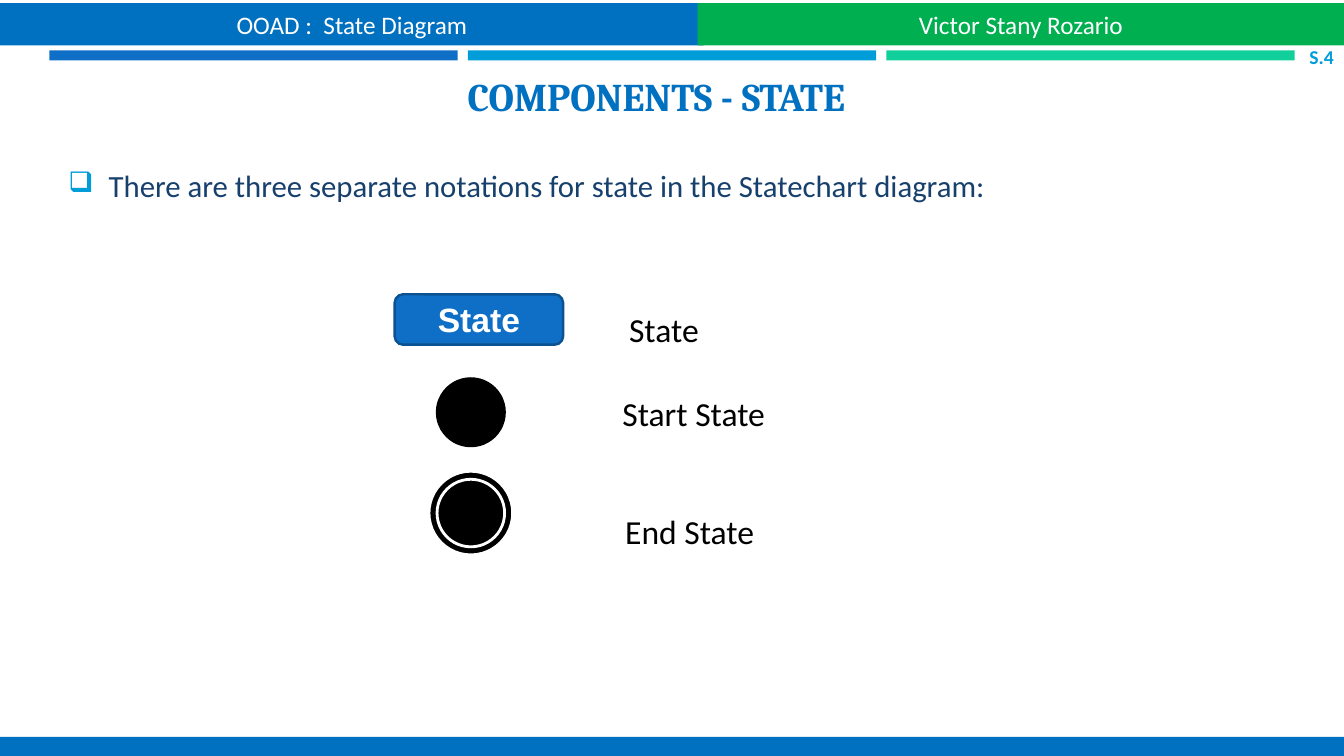
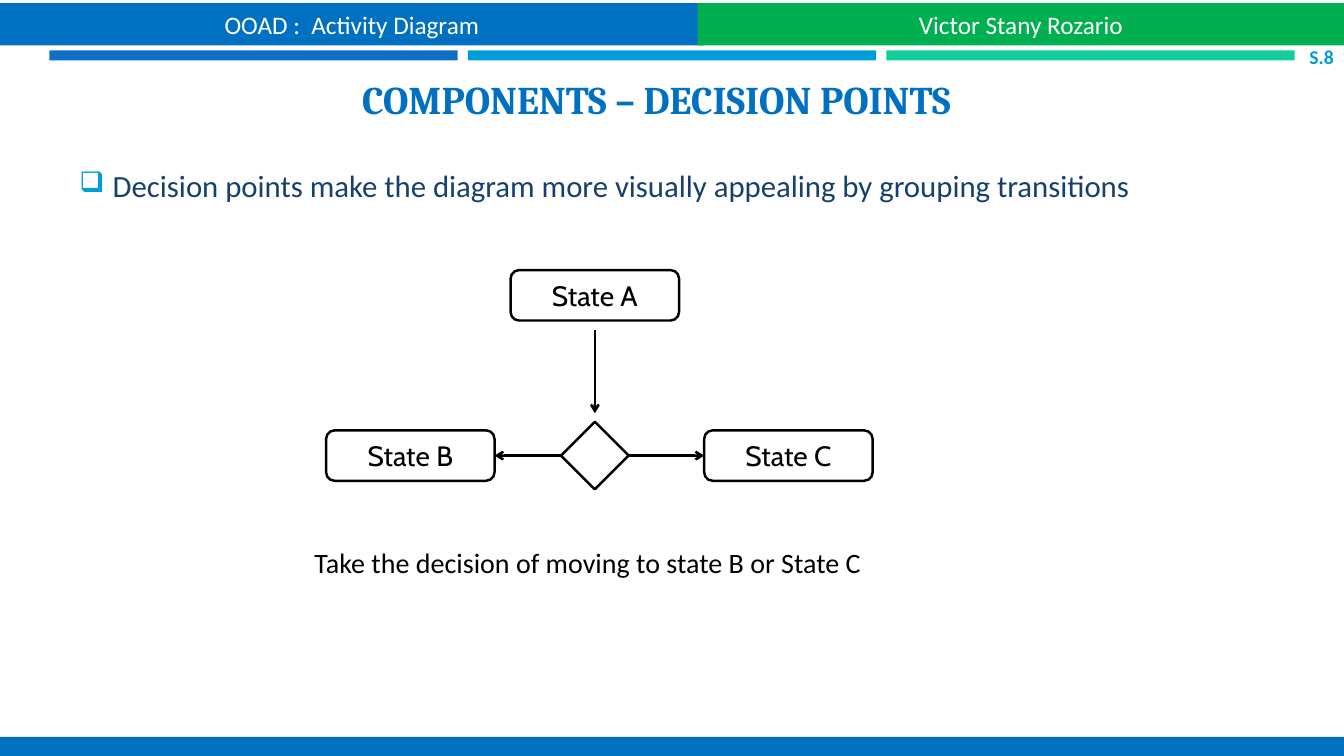
from dataclasses import dataclass

from lxml import etree
from pptx import Presentation
from pptx.dml.color import RGBColor
from pptx.enum import shapes, text
from pptx.oxml.ns import qn
from pptx.util import Inches, Pt

SHAPE = shapes.MSO_SHAPE
ALIGN = text.PP_ALIGN
ANCHOR = text.MSO_ANCHOR


@dataclass(frozen=True)
class Theme:
    blue: str = "0070C0"
    green: str = "00B050"
    royal: str = "0F6FC6"
    sky: str = "009DD9"
    mint: str = "10CF9B"
    navy: str = "17406D"
    edge: str = "0B5292"
    black: str = "000000"
    white: str = "FFFFFF"
    head: str = "Cambria"
    body: str = "Calibri"
    title: int = 28
    label: int = 24
    point: int = 22
    node: int = 20
    band: int = 18
    page: int = 14
    line: float = 1.75


T = Theme()


def rgb(code):
    return RGBColor.from_string(code)


def write(shape, words, size, color, font=T.body, bold=False,
          align=ALIGN.CENTER, anchor=ANCHOR.MIDDLE, wrap=True):
    frame = shape.text_frame
    frame.text = words
    frame.word_wrap = wrap
    frame.vertical_anchor = anchor
    para = frame.paragraphs[0]
    para.alignment = align
    face = para.runs[0].font
    face.name, face.size, face.bold = font, Pt(size), bold
    face.color.rgb = rgb(color)
    return para


def add_form(slide, kind, box, fill, line=None, width=T.line):
    form = slide.shapes.add_shape(kind, *map(Inches, box))
    form.shadow.inherit = False
    form.fill.solid()
    form.fill.fore_color.rgb = rgb(fill)
    if line:
        form.line.color.rgb = rgb(line)
        form.line.width = Pt(width)
    else:
        form.line.fill.background()
    return form


def add_text(slide, box, words, size, color, **style):
    field = slide.shapes.add_textbox(*map(Inches, box))
    write(field, words, size, color, **style)
    return field


def add_disc(slide, x, y, size, line, width=T.line):
    """Draw a black disc centred on x, y."""
    box = (x - size / 2, y - size / 2, size, size)
    add_form(slide, SHAPE.OVAL, box, T.black, line, width)


def add_state(slide, x, y, name, fill=T.white, line=T.black, **style):
    """Draw a rounded state box centred on x, y."""
    wide, high = 1.67, 0.5
    box = (x - wide / 2, y - high / 2, wide, high)
    state = add_form(slide, SHAPE.ROUNDED_RECTANGLE, box, fill, line)
    look = {"size": T.node, "color": T.black, "font": "Cabin"} | style
    write(state, name, wrap=False, **look)
    return state


def add_arrow(slide, start=(0, 0), end=(0, 0)):
    arrow = slide.shapes.add_connector(
        shapes.MSO_CONNECTOR.STRAIGHT, *map(Inches, (*start, *end)))
    arrow.line.color.rgb = rgb(T.black)
    arrow.line.width = Pt(T.line)
    props = arrow._element.spPr
    etree.SubElement(props.find(qn("a:ln")), qn("a:tailEnd"), type="arrow")
    etree.SubElement(props, qn("a:effectLst"))
    return arrow


def join(slide, first, out, last, into):
    """Link two shapes with an arrow between the given sides."""
    arrow = add_arrow(slide)
    arrow.begin_connect(first, out)
    arrow.end_connect(last, into)


def add_point(slide, left, indent, words):
    """Add a paragraph with a hanging box bullet."""
    field = slide.shapes.add_textbox(*map(Inches, (left, 1.41, 12.27, 0.86)))
    para = write(field, words, T.point, T.navy, align=ALIGN.LEFT)
    props = para._p.get_or_add_pPr()
    props.set("marL", str(Inches(indent)))
    props.set("indent", str(-Inches(indent)))
    tint = etree.SubElement(props, qn("a:buClr"))
    etree.SubElement(tint, qn("a:srgbClr"), val=T.sky)
    etree.SubElement(props, qn("a:buSzPct"), val="92000")
    etree.SubElement(props, qn("a:buChar"), char="❑")


def add_frame(deck, topic, page, title, base):
    """Start a slide with its bands, page mark and title ending at base."""
    slide = deck.slides.add_slide(deck.slide_layouts[6])
    for i, color in enumerate((T.royal, T.sky, T.mint)):
        add_form(slide, SHAPE.RECTANGLE, (0.49 + i * 4.15, 0.5, 4.05, 0.1),
                 color)
    bands = ((0, 6.98, T.blue, topic),
             (6.92, 6.41, T.green, "Victor Stany Rozario"))
    for left, wide, color, words in bands:
        band = add_form(slide, SHAPE.RECTANGLE, (left, 0.03, wide, 0.42),
                        color)
        write(band, words, T.band, T.white)
    add_form(slide, SHAPE.RECTANGLE, (0, 7.31, 13.33, 0.19), T.blue)
    mark = add_text(slide, (12.9, 0.41, 0.33, 0.3), page, T.page, T.sky,
                    bold=True, align=ALIGN.RIGHT, wrap=False)
    mark.text_frame.margin_left = mark.text_frame.margin_right = 0
    add_text(slide, (0.48, base - 0.6, 12.06, 0.6), title, T.title, T.blue,
             font=T.head, bold=True, anchor=ANCHOR.BOTTOM)
    return slide


def add_states(deck):
    slide = add_frame(deck, "OOAD :  State Diagram", "S.4",
                      "COMPONENTS - STATE", 1.23)
    add_point(slide, 0.58, 0.4, "There are three separate notations for "
              "state in the Statechart diagram:")
    add_state(slide, 4.75, 3.17, "State", T.royal, T.edge, size=T.label,
              color=T.white, font="Arial", bold=True)
    mid = 4.67
    add_disc(slide, mid, 4.09, 0.67, T.black)
    for size in (0.83, 0.67):
        add_disc(slide, mid, 5.09, size, T.white, 2)
    labels = ((6, 3.01, 1.17, "State"),
              (5.92, 3.85, 1.92, "Start State"),
              (5.84, 5.02, 2, "End State"))
    for left, top, wide, words in labels:
        add_text(slide, (left, top, wide, 0.5), words, T.label, T.black)


def add_choice(deck):
    slide = add_frame(deck, "OOAD :  Activity Diagram", "S.8",
                      "COMPONENTS – DECISION POINTS", 1.26)
    add_point(slide, 0.69, 0.33, "Decision points make the diagram more "
              "visually appealing by grouping transitions")
    mid, row, size = 5.9, 4.52, 0.67
    add_state(slide, mid, 2.93, "State A")
    left = add_state(slide, 4.07, row, "State B")
    right = add_state(slide, 7.82, row, "State C")
    gate = add_form(slide, SHAPE.DIAMOND,
                    (mid - size / 2, row - size / 2, size, size),
                    T.white, T.black)
    add_arrow(slide, (mid, 3.27), (mid, 4.1))
    join(slide, gate, 1, left, 3)
    join(slide, gate, 3, right, 1)
    add_text(slide, (3.02, 5.32, 7.4, 0.52),
             "Take the decision of moving to state B or State C",
             T.node, T.black, align=ALIGN.LEFT)


def main():
    deck = Presentation()
    deck.slide_width, deck.slide_height = Inches(13.33), Inches(7.5)
    add_states(deck)
    add_choice(deck)
    deck.save("out.pptx")


if __name__ == "__main__":
    main()
